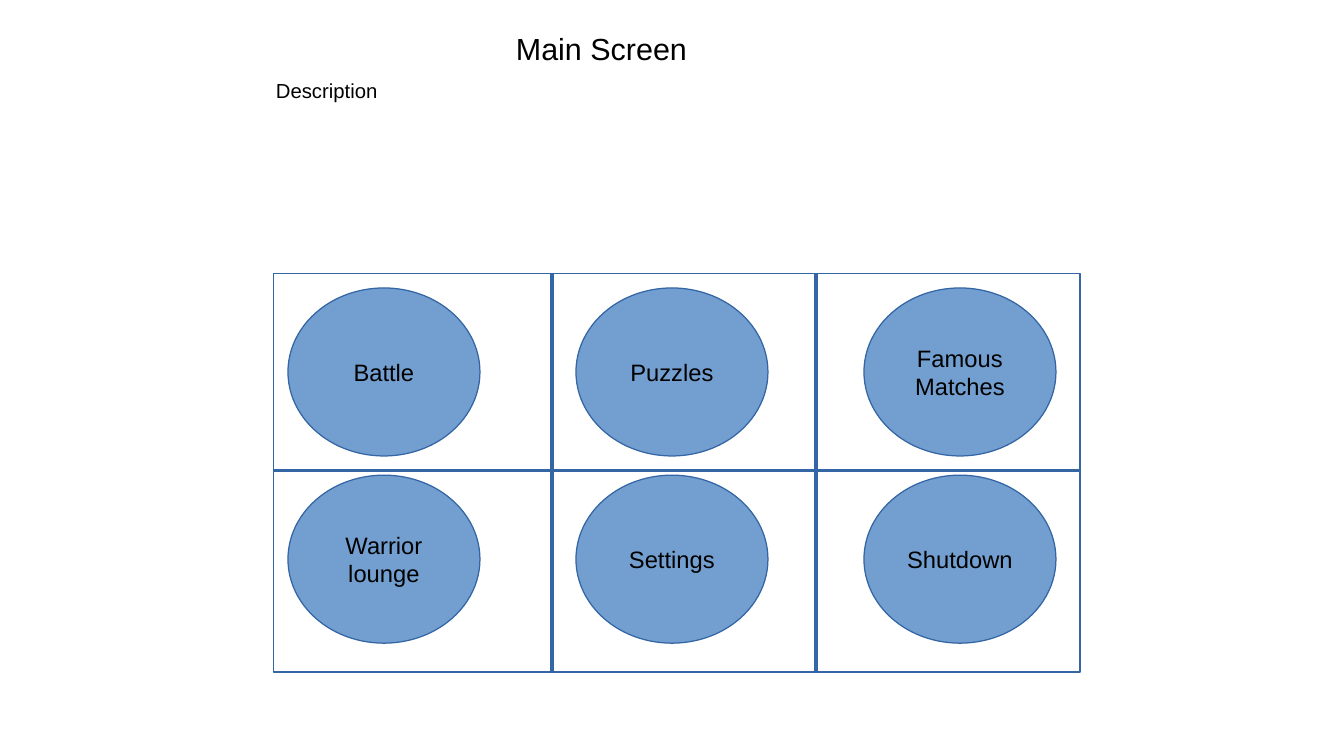
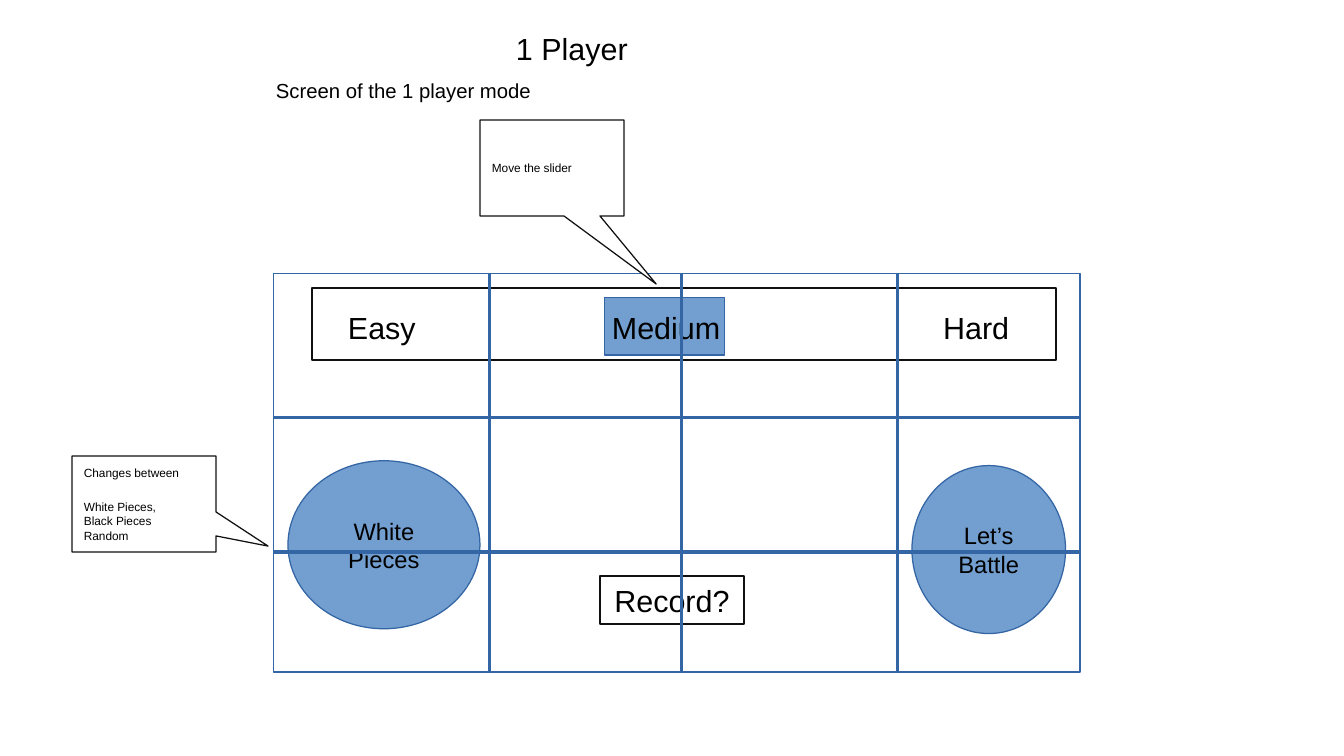
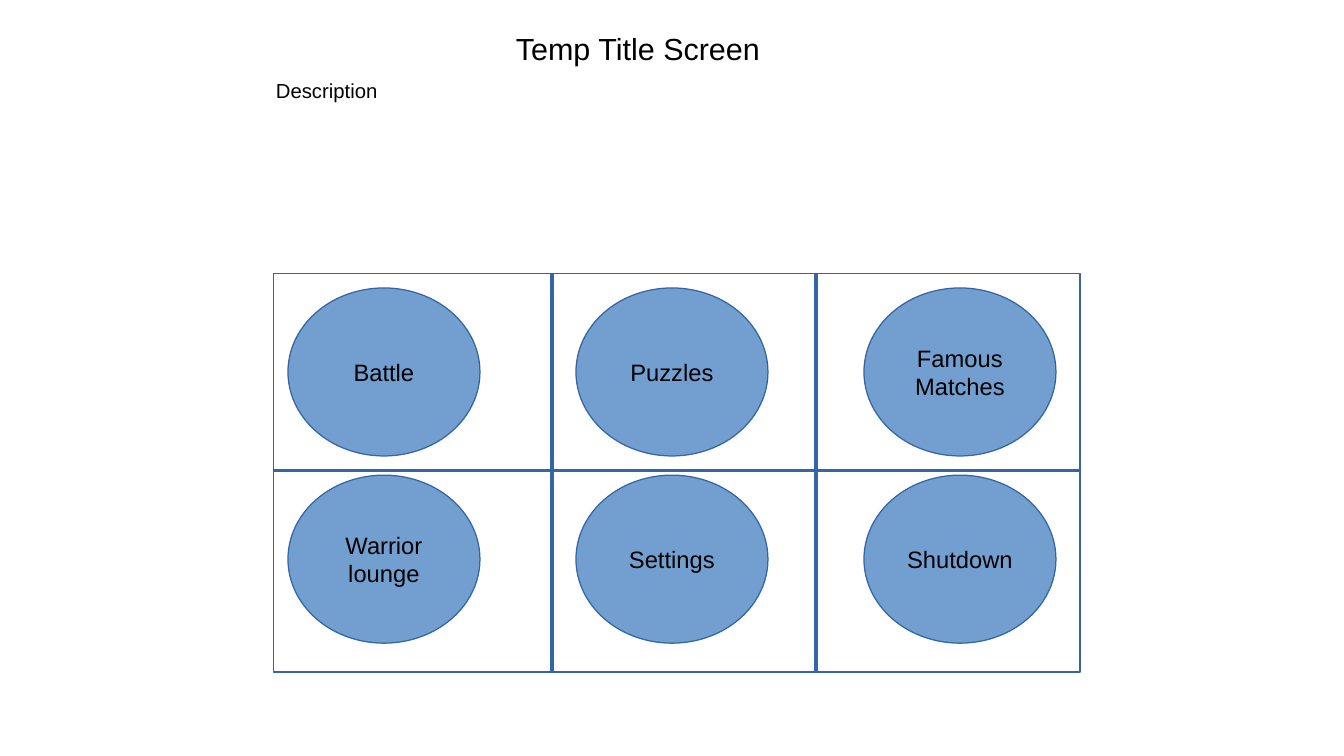
from collections.abc import Iterable
from dataclasses import dataclass
from itertools import product

from lxml.etree import SubElement
from pptx import Presentation
from pptx.dml.color import RGBColor
from pptx.enum.shapes import MSO_CONNECTOR, MSO_SHAPE
from pptx.enum.text import MSO_ANCHOR, PP_ALIGN
from pptx.oxml.ns import qn
from pptx.presentation import Presentation as Deck
from pptx.shapes.autoshape import Shape
from pptx.shapes.shapetree import GroupShapes
from pptx.slide import Slide
from pptx.util import Cm, Pt


@dataclass(frozen=True)
class Theme:
    """Colours, font and type sizes of the deck."""
    font: str = "Arial"
    ink: RGBColor = RGBColor(0, 0, 0)
    paper: RGBColor = RGBColor(255, 255, 255)
    button: RGBColor = RGBColor.from_string("729FCF")
    edge: RGBColor = RGBColor.from_string("3465A4")
    outline: RGBColor = RGBColor.from_string("111111")
    title: float = 18
    body: float = 12
    label: float = 14
    note: float = 7
    note_gap: float = 12
    hairline: float = 0


@dataclass(frozen=True)
class Box:
    """Position and size in centimetres."""
    left: float
    top: float
    width: float
    height: float

    def lengths(self) -> tuple[Cm, Cm, Cm, Cm]:
        """Return left, top, width and height as lengths."""
        return Cm(self.left), Cm(self.top), Cm(self.width), Cm(self.height)


@dataclass(frozen=True)
class Button:
    """A round button of a screen."""
    label: str
    box: Box


@dataclass(frozen=True)
class Callout:
    """A note whose tail points at a part of the screen."""
    groups: tuple[tuple[str, ...], ...]
    box: Box
    tip: tuple[float, float]


@dataclass(frozen=True)
class Level:
    """A difficulty level on the slider."""
    name: str
    left: float
    width: float


THEME = Theme()
SCREEN = Box(5.7, 5.7, 16.8, 8.3)
TITLE = Box(10.5, 0.5, 7.5, 0.96)
DESCRIPTION = Box(5.5, 1.5, 17, 0.73)
SLIDER = Box(6.5, 6, 15.5, 1.5)
KNOB = Box(12.6, 6.2, 2.5, 1.2)
RECORD = Box(12.5, 12, 3, 1)
BUTTON_SIZE = (4, 3.5)

MENU = ("Battle", "Puzzles", "Famous Matches", "Warrior lounge", "Settings", "Shutdown")
MENU_BUTTONS = [
    Button(label, Box(left, top, *BUTTON_SIZE))
    for label, (top, left) in zip(MENU, product((6, 9.9), (6, 12, 18)))
]
PLAYER_BUTTONS = [
    Button("White Pieces", Box(6, 9.6, *BUTTON_SIZE)),
    Button("Let’s Battle", Box(19, 9.7, 3.2, 3.5)),
]
LEVELS = [Level("Easy", 7, 3.5), Level("Medium", 12.5, 3.5), Level("Hard", 19.4, 2.1)]
CALLOUTS = [
    Callout((("Changes between",), ("White Pieces,", "Black Pieces", "Random")),
            Box(1.5, 9.5, 3, 2), (0.862, 0.439)),
    Callout((("Move the slider",),), Box(10, 2.5, 3, 2), (0.724, 1.209)),
]


def write(shape: Shape, groups: Iterable[Iterable[str]], size: float,
          align: PP_ALIGN = PP_ALIGN.LEFT, anchor: MSO_ANCHOR = MSO_ANCHOR.MIDDLE,
          inset: tuple[float, float] = (0.25, 0.13)) -> None:
    """Write groups of lines into a shape, with a gap between groups."""
    frame = shape.text_frame
    frame.word_wrap = True
    frame.vertical_anchor = anchor
    frame.margin_left = frame.margin_right = Cm(inset[0])
    frame.margin_top = frame.margin_bottom = Cm(inset[1])
    lines = [(line, group > 0 and row == 0)
             for group, texts in enumerate(groups) for row, line in enumerate(texts)]
    for index, (line, opens_group) in enumerate(lines):
        paragraph = frame.add_paragraph() if index else frame.paragraphs[0]
        paragraph.alignment = align
        if opens_group:
            paragraph.space_before = Pt(THEME.note_gap)
        run = paragraph.add_run()
        run.text = line
        run.font.name = THEME.font
        run.font.size = Pt(size)
        run.font.color.rgb = THEME.ink


def add_text(slide: Slide, box: Box, text: str, size: float) -> None:
    """Add a line of plain text."""
    write(slide.shapes.add_textbox(*box.lengths()), [[text]], size, anchor=MSO_ANCHOR.TOP)


def add_panel(slide: Slide, kind: MSO_SHAPE, box: Box, fill: RGBColor,
              edge: RGBColor) -> Shape:
    """Add a filled shape with a hairline edge."""
    panel = slide.shapes.add_shape(kind, *box.lengths())
    panel.shadow.inherit = False
    panel.fill.solid()
    panel.fill.fore_color.rgb = fill
    panel.line.color.rgb = edge
    panel.line.width = Pt(THEME.hairline)
    return panel


def add_button(slide: Slide, button: Button) -> None:
    """Add a round button with its label."""
    disc = add_panel(slide, MSO_SHAPE.OVAL, button.box, THEME.button, THEME.edge)
    write(disc, [[button.label]], THEME.label, PP_ALIGN.CENTER, inset=(0, 0))


def add_callout(slide: Slide, callout: Callout) -> None:
    """Add a note and aim its tail."""
    note = add_panel(slide, MSO_SHAPE.RECTANGULAR_CALLOUT, callout.box,
                     THEME.paper, THEME.outline)
    note.adjustments[0], note.adjustments[1] = callout.tip
    write(note, callout.groups, THEME.note)


def add_rule(rules: GroupShapes, start: tuple[float, float],
             end: tuple[float, float]) -> None:
    """Add one grid line."""
    rule = rules.add_connector(MSO_CONNECTOR.STRAIGHT, *map(Cm, start + end))
    rule.line.color.rgb = THEME.edge
    rule.line.width = Pt(THEME.hairline)
    SubElement(rule._element.spPr, qn("a:effectLst"))


def add_grid(slide: Slide, columns: Iterable[float], rows: Iterable[float]) -> None:
    """Divide the screen with grouped vertical and horizontal lines."""
    rules = slide.shapes.add_group_shape().shapes
    for x in columns:
        add_rule(rules, (x, SCREEN.top), (x, SCREEN.top + SCREEN.height))
    for y in rows:
        add_rule(rules, (SCREEN.left, y), (SCREEN.left + SCREEN.width, y))


def add_screen(deck: Deck, title: str, description: str,
               buttons: Iterable[Button]) -> Slide:
    """Add a slide with title, description, screen frame and buttons."""
    slide = deck.slides.add_slide(deck.slide_layouts[6])
    add_text(slide, TITLE, title, THEME.title)
    add_panel(slide, MSO_SHAPE.RECTANGLE, SCREEN, THEME.paper, THEME.edge)
    add_text(slide, DESCRIPTION, description, THEME.body)
    for button in buttons:
        add_button(slide, button)
    return slide


def add_menu_screen(deck: Deck, title: str) -> None:
    """Add a screen with the six menu buttons."""
    slide = add_screen(deck, title, "Description", MENU_BUTTONS)
    add_grid(slide, columns=(11.5, 17), rows=(9.8,))


def add_player_screen(deck: Deck) -> None:
    """Add the screen of the 1 player mode."""
    slide = add_screen(deck, "1 Player", "Screen of the 1 player mode", PLAYER_BUTTONS)
    add_panel(slide, MSO_SHAPE.RECTANGLE, SLIDER, THEME.paper, THEME.outline)
    add_panel(slide, MSO_SHAPE.RECTANGLE, KNOB, THEME.button, THEME.edge)
    for level in LEVELS:
        add_text(slide, Box(level.left, 6.3, level.width, TITLE.height),
                 level.name, THEME.title)
    for callout in CALLOUTS:
        add_callout(slide, callout)
    record = add_panel(slide, MSO_SHAPE.RECTANGLE, RECORD, THEME.paper, THEME.outline)
    write(record, [["Record?"]], THEME.title, PP_ALIGN.CENTER)
    add_grid(slide, columns=(10.2, 14.2, 18.7), rows=(11.5, 8.7))


def main() -> None:
    """Build and save the deck."""
    deck = Presentation()
    deck.slide_width, deck.slide_height = Cm(28), Cm(15.75)
    add_menu_screen(deck, "Main Screen")
    add_player_screen(deck)
    add_menu_screen(deck, "Temp Title Screen")
    deck.save("out.pptx")


main()
